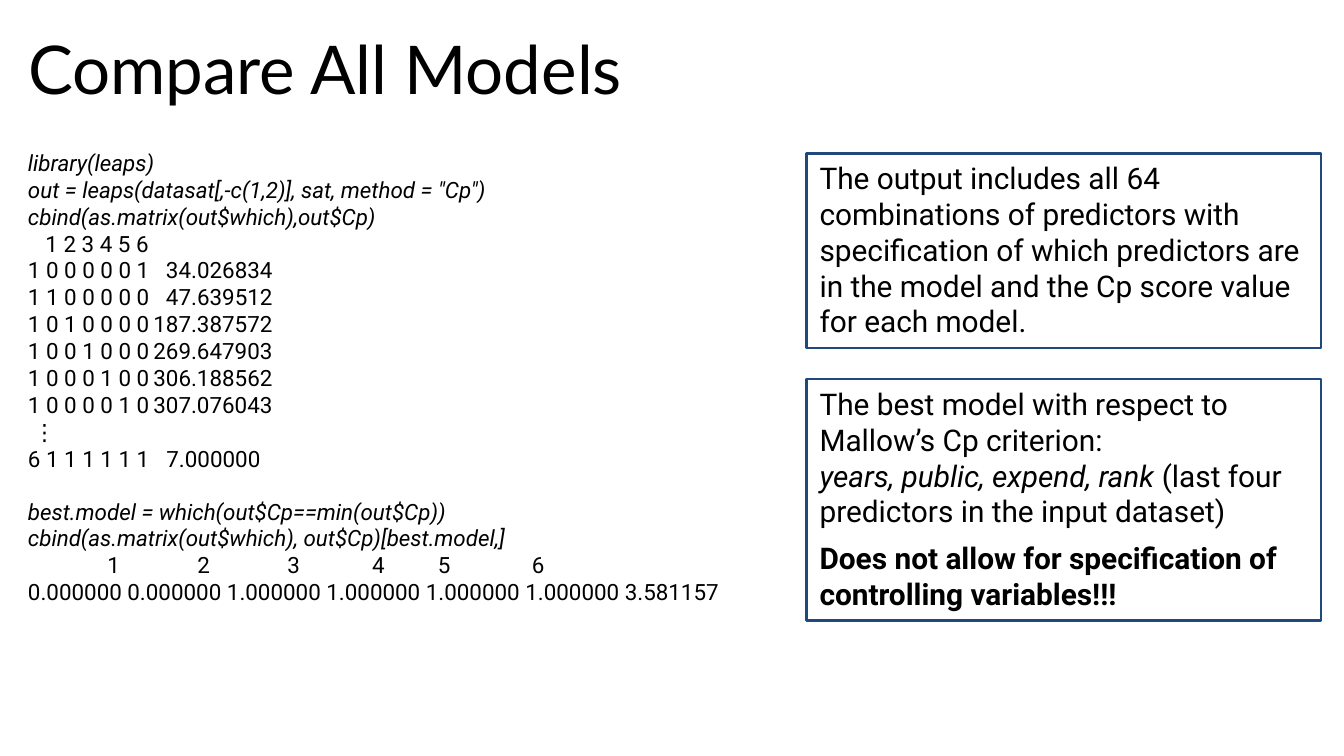
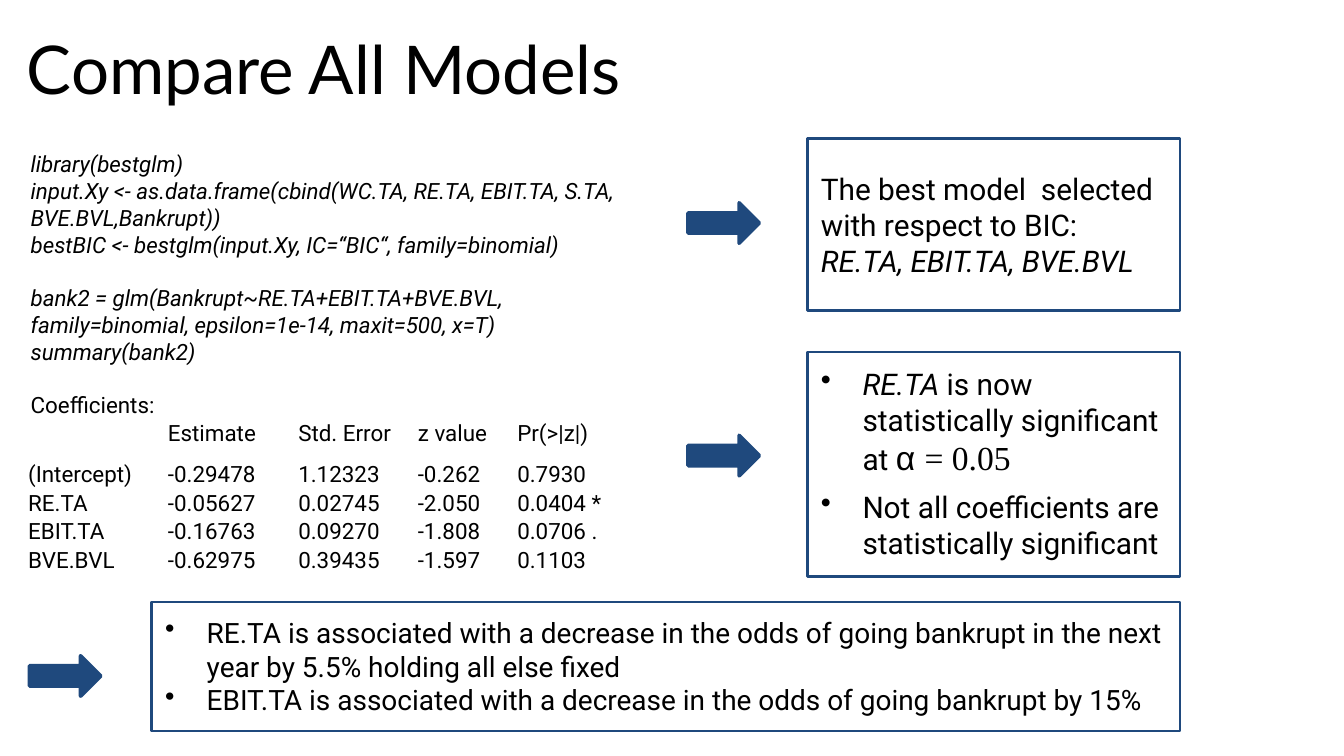
"""Build two slides on comparing all models by Cp and by BIC."""
from dataclasses import dataclass

from lxml import etree
from pptx import Presentation
from pptx.dml.color import RGBColor
from pptx.enum.shapes import MSO_SHAPE
from pptx.enum.text import MSO_ANCHOR, PP_ALIGN
from pptx.oxml.ns import qn
from pptx.util import Inches, Pt

RECT, ARROW = MSO_SHAPE.RECTANGLE, MSO_SHAPE.RIGHT_ARROW
TOP, MID = MSO_ANCHOR.TOP, MSO_ANCHOR.MIDDLE
LEFT = PP_ALIGN.LEFT
COLS, ROWS = 100, 56.25
HANG = 0.31


@dataclass(frozen=True)
class Theme:
    ink: RGBColor = RGBColor(0, 0, 0)
    navy: RGBColor = RGBColor(0x1F, 0x49, 0x7D)
    head: str = "Lato"
    body: str = "Roboto"
    math: str = "Times New Roman"
    greek: str = "Arial"
    title: int = 36
    lead: int = 34
    code: int = 12
    list: int = 15
    note: int = 16
    sign: int = 18


@dataclass
class Bit:
    text: str
    ital: bool = None
    face: str = None
    size: int = None


@dataclass
class Para:
    bits: object
    ital: bool = None
    bold: bool = None
    dot: bool = False
    before: float = 0
    after: float = 0
    left: float = 0
    tabs: tuple = ()


class Deck:
    def __init__(self, theme):
        self.theme = theme
        self.prs = Presentation()
        self.prs.slide_width, self.prs.slide_height = Inches(10), Inches(5.625)
        self.slide = None

    def place(self, x, y, w, h):
        dx, dy = self.prs.slide_width / COLS, self.prs.slide_height / ROWS
        return [round(v) for v in (x * dx, y * dy, w * dx, h * dy)]

    def style(self, font, size, face=None):
        font.size, font.name = Pt(size), face or self.theme.body
        font.color.rgb = self.theme.ink

    def page(self, title, *spot):
        self.slide = self.prs.slides.add_slide(self.prs.slide_layouts[5])
        head = self.slide.shapes.title
        head.left, head.top, head.width, head.height = self.place(*spot)
        frame = head.text_frame
        frame.text, frame.vertical_anchor = title, TOP
        par = frame.paragraphs[0]
        par.alignment, par.line_spacing = LEFT, Pt(self.theme.lead)
        self.style(par.font, self.theme.title, self.theme.head)

    def flow(self, frame, paras, size):
        frame.word_wrap = True
        for n, item in enumerate(paras):
            par = frame.add_paragraph() if n else frame.paragraphs[0]
            self.fill(par, item, size)

    def fill(self, par, item, size):
        props = par._p.get_or_add_pPr()
        left = HANG if item.dot else item.left
        if left:
            props.set("marL", str(Inches(left)))
        if item.dot:
            props.set("indent", str(-Inches(HANG)))
            etree.SubElement(props, qn("a:buChar"), char="•")
        if item.tabs:
            stops = etree.SubElement(props, qn("a:tabLst"))
            for pos, side in item.tabs:
                etree.SubElement(stops, qn("a:tab"), pos=str(Inches(pos)), algn=side)
        par.alignment = LEFT
        par.space_before, par.space_after = Pt(item.before), Pt(item.after)
        self.style(par.font, size)
        par.font.italic, par.font.bold = item.ital, item.bold
        bits = [Bit(item.bits)] if isinstance(item.bits, str) else item.bits
        for bit in bits:
            if bit.text == "\n":
                par.add_line_break()
                continue
            run = par.add_run()
            run.text, run.font.italic = bit.text, bit.ital
            if bit.face:
                run.font.name = bit.face
            if bit.size:
                run.font.size = Pt(bit.size)

    def text(self, spot, paras):
        box = self.slide.shapes.add_textbox(*self.place(*spot))
        self.flow(box.text_frame, paras, self.theme.code)

    def shape(self, kind, spot, width):
        item = self.slide.shapes.add_shape(kind, *self.place(*spot))
        item.shadow.inherit = False
        item.line.color.rgb, item.line.width = self.theme.navy, Pt(width)
        return item

    def box(self, spot, paras, size, pad=0.1, anchor=TOP):
        item = self.shape(RECT, spot, 1.5)
        item.fill.background()
        frame = item.text_frame
        frame.margin_top = frame.margin_bottom = Inches(pad)
        frame.vertical_anchor = anchor
        self.flow(frame, paras, size)

    def arrow(self, x, y):
        item = self.shape(ARROW, (x, y, 5.3, 3), 2)
        item.fill.solid()
        item.fill.fore_color.rgb = self.theme.navy

    def table(self, spot, widths, rows):
        area = self.place(*spot)
        grid = self.slide.shapes.add_table(len(rows), len(widths), *area).table
        grid.horz_banding = False
        for col, width in zip(grid.columns, widths):
            col.width = self.place(0, 0, width, 0)[2]
        for r, row in enumerate(rows):
            for c, word in enumerate(row):
                cell = grid.cell(r, c)
                cell.fill.background()
                cell.margin_left = cell.margin_right = Inches(0.07)
                cell.margin_top = cell.margin_bottom = 0
                par = cell.text_frame.paragraphs[0]
                self.fill(par, Para(word, bold=False), self.theme.code)
                par.line_spacing = 1.07


def code(*lines, gap=0):
    return [Para(line, ital=True, before=0 if n else gap)
            for n, line in enumerate(lines)]


def cp_page(deck):
    note = deck.theme.note
    deck.page("Compare All Models", 1.1, 2.8, 91.7, 6)
    scores = ["34.026834", "47.639512", "187.387572",
              "269.647903", "306.188562", "307.076043"]
    picks = ["0 0 0 0 0 1"] + [
        " ".join("1" if k == n else "0" for k in range(6)) for n in range(5)]
    stop = ((1.82, "r"),)
    heads = [(pos, "l") for pos in (0.59, 1.26, 1.93, 2.56, 3.05, 3.75)]
    deck.text((1.1, 10.6, 54.8, 35.3), [
        *code("library(leaps)",
              'out = leaps(datasat[,-c(1,2)], sat, method = "Cp")',
              "cbind(as.matrix(out$which),out$Cp)"),
        Para("1 2 3 4 5 6", left=0.13),
        *[Para(f"1 {pick}\t{score}", tabs=stop)
          for pick, score in zip(picks, scores)],
        Para("⋮", left=0.04),
        Para("6 1 1 1 1 1 1\t7.000000", tabs=((1.03, "l"),)),
        *code("best.model = which(out$Cp==min(out$Cp))",
              "cbind(as.matrix(out$which), out$Cp)[best.model,]", gap=14),
        Para("\t1\t2\t3\t4\t5\t6", tabs=heads),
        Para("0.000000 0.000000 1.000000 1.000000 1.000000 1.000000 3.581157"),
    ])
    deck.box((60, 11.4, 38.3, 14.5), [
        Para("The output includes all 64 combinations of predictors with "
             "specification of which predictors are in the model and the Cp "
             "score value for each model."),
    ], note, pad=0.05)
    deck.box((60, 28.2, 38.3, 18), [
        Para([Bit("The best model with respect to Mallow’s Cp criterion: "),
              Bit("\n"), Bit("years, public, expend, rank", ital=True),
              Bit(" (last four predictors in the input dataset)")], after=6),
        Para("Does not allow for specification of controlling variables!!!",
             bold=True),
    ], note, pad=0.05)


def bic_page(deck):
    theme = deck.theme
    deck.page("Compare All Models", 1, 2.8, 91.7, 4.9)
    deck.text((1.3, 10.7, 48.7, 21.2), [
        *code("library(bestglm)",
              "input.Xy <- as.data.frame(cbind(WC.TA, RE.TA, EBIT.TA, S.TA, "
              "BVE.BVL,Bankrupt))",
              "bestBIC <- bestglm(input.Xy, IC=“BIC“, family=binomial)"),
        *code("bank2 = glm(Bankrupt~RE.TA+EBIT.TA+BVE.BVL, family=binomial, "
              "epsilon=1e-14, maxit=500, x=T)",
              "summary(bank2)", gap=14),
        Para("Coefficients:", before=14),
    ])
    deck.table((1.4, 31.2, 45, 10.7), (10.4, 9.7, 8.9, 7.4, 8.6), [
        ("", "Estimate", "Std. Error", "z value", "Pr(>|z|)"),
        ("(Intercept)", "-0.29478", "1.12323", "-0.262", "0.7930"),
        ("RE.TA", "-0.05627", "0.02745", "-2.050", "0.0404 *"),
        ("EBIT.TA", "-0.16763", "0.09270", "-1.808", "0.0706 ."),
        ("BVE.BVL", "-0.62975", "0.39435", "-1.597", "0.1103"),
    ])
    deck.box((60.1, 10.3, 27.7, 12.8), [
        Para([Bit("The best model  selected with respect to BIC: "), Bit("\n"),
              Bit("RE.TA, EBIT.TA, BVE.BVL", ital=True)]),
    ], theme.note, anchor=MID)
    deck.box((60.1, 26.2, 27.7, 16.7), [
        Para([Bit("RE.TA ", ital=True),
              Bit("is now statistically significant at "),
              Bit("α ", face=theme.greek, size=theme.sign),
              Bit("= 0.05", face=theme.math, size=theme.sign)],
             dot=True, after=6),
        Para("Not all coefficients are statistically significant", dot=True),
    ], theme.note)
    deck.box((11.3, 44.8, 76.5, 9.6), [
        Para("RE.TA is associated with a decrease in the odds of going bankrupt "
             "in the next year by 5.5% holding all else fixed", dot=True),
        Para("EBIT.TA is associated with a decrease in the odds of going "
             "bankrupt by 15%", dot=True),
    ], theme.list)
    for x, y in ((51.2, 15.1), (51.2, 32.4), (2.2, 48.8)):
        deck.arrow(x, y)


def main():
    deck = Deck(Theme())
    cp_page(deck)
    bic_page(deck)
    deck.prs.save("out.pptx")


if __name__ == "__main__":
    main()
